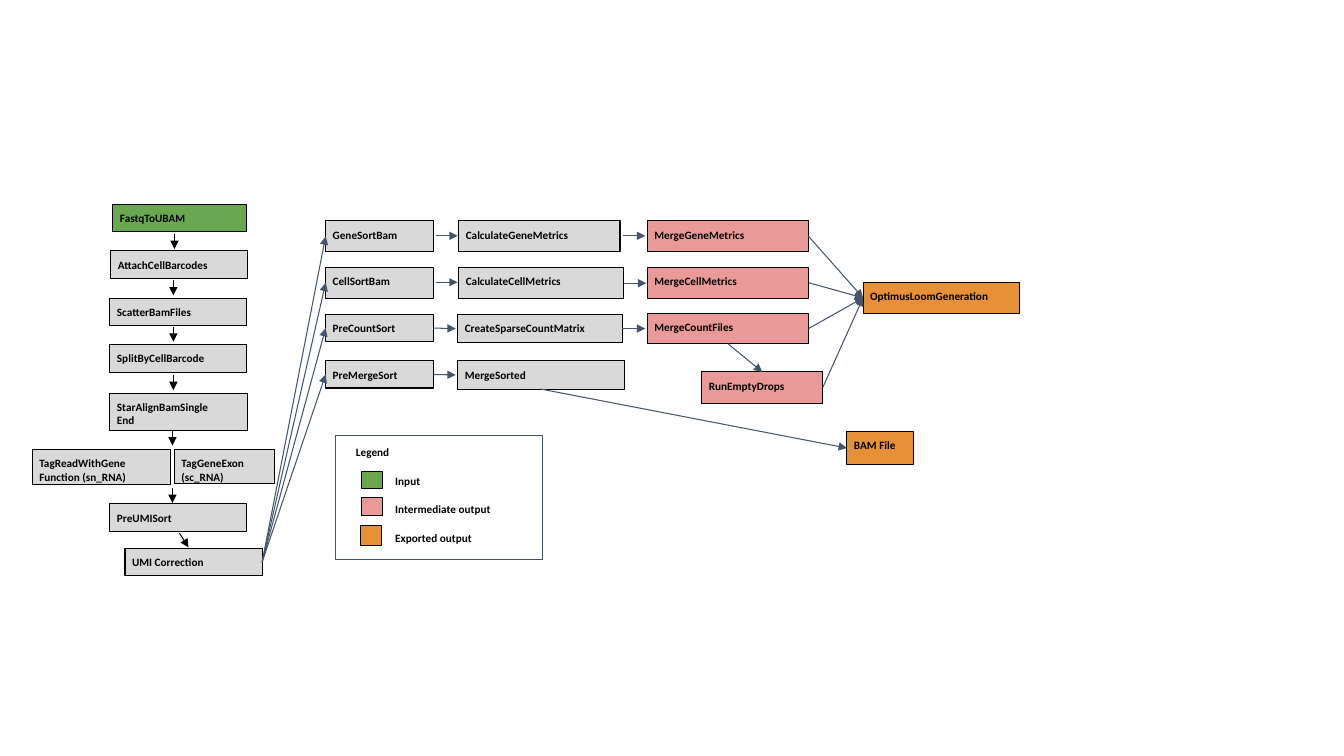
from lxml.etree import SubElement
from pptx import Presentation
from pptx.dml.color import RGBColor
from pptx.enum.shapes import MSO_CONNECTOR, MSO_SHAPE
from pptx.enum.text import MSO_ANCHOR, PP_ALIGN
from pptx.oxml.ns import qn
from pptx.util import Emu, Pt

PX = 9144
SLIDE = (1333, 750)
TOP, LEFT, BOTTOM, RIGHT = range(4)
GREY, GREEN, PINK, ORANGE = "D9D9D9", "6AA84F", "EA9999", "E69138"
BLACK, SLATE = "000000", "44546A"

STEPS = [
    ("FastqToUBAM", GREEN, (112, 203, 133, 27)),
    ("AttachCellBarcodes", GREY, (110, 249, 136, 27)),
    ("ScatterBamFiles", GREY, (109, 296, 136, 27)),
    ("SplitByCellBarcode", GREY, (109, 342, 136, 28)),
    ("StarAlignBamSingle\nEnd", GREY, (109, 390, 137, 37)),
    ("TagReadWithGene\nFunction (sn_RNA)", GREY, (32, 446, 137, 35)),
    ("TagGeneExon\n(sc_RNA)", GREY, (173, 446, 99, 34)),
    ("PreUMISort", GREY, (109, 500, 136, 27)),
    ("UMI Correction", GREY, (124, 544, 136, 27)),
    ("GeneSortBam", GREY, (323, 219, 107, 31)),
    ("CellSortBam", GREY, (323, 265, 107, 31)),
    ("PreCountSort", GREY, (323, 312, 107, 27)),
    ("PreMergeSort", GREY, (323, 358, 107, 27)),
    ("CalculateGeneMetrics", GREY, (455, 219, 160, 31)),
    ("CalculateCellMetrics", GREY, (455, 265, 163, 31)),
    ("CreateSparseCountMatrix", GREY, (454, 312, 163, 28)),
    ("MergeSorted", GREY, (454, 358, 165, 28)),
    ("MergeGeneMetrics", PINK, (642, 219, 160, 31)),
    ("MergeCellMetrics", PINK, (642, 265, 160, 31)),
    ("MergeCountFiles", PINK, (642, 311, 160, 30)),
    ("RunEmptyDrops", PINK, (696, 369, 120, 31)),
    ("OptimusLoomGeneration", ORANGE, (856, 280, 155, 31)),
    ("BAM File", ORANGE, (840, 428, 66, 33)),
]
SORTS = ["GeneSortBam", "CellSortBam", "PreCountSort", "PreMergeSort"]
LOOM_INPUTS = ["MergeGeneMetrics", "MergeCellMetrics", "MergeCountFiles", "RunEmptyDrops"]

LEGEND_FRAME = (333, 432, 205, 123)
LEGEND_TITLE = ("Legend", (346, 435, 68, 25))
LEGEND = [
    ("Input", GREEN, (359, 468, 20, 17), (385, 464, 79, 20)),
    ("Intermediate output", PINK, (359, 494, 20, 17), (385, 492, 139, 27)),
    ("Exported output", ORANGE, (358, 521, 20, 20), (385, 520, 139, 23)),
]

DOWN_STARTS = [(173, 232), (172, 278), (172, 324), (172, 372), (171, 427), (171, 484)]
DOWN_LENGTH = 15
ACROSS_STARTS = [(432, 234), (432, 280), (618, 234), (619, 281)]
ACROSS_LENGTH = 22

BLACK_ARROWS = [((x, y), (x, y + DOWN_LENGTH)) for x, y in DOWN_STARTS]
BLACK_ARROWS += [((178, 529), (187, 543))]
SLATE_ARROWS = [((x, y), (x + ACROSS_LENGTH, y)) for x, y in ACROSS_STARTS]
SLATE_ARROWS += [
    (("PreCountSort", RIGHT), (452, 326)),
    (("PreMergeSort", RIGHT), (452, 372)),
    (("CreateSparseCountMatrix", RIGHT), (640, 326)),
    (("MergeCountFiles", BOTTOM), ("RunEmptyDrops", TOP)),
    (("MergeSorted", BOTTOM), ("BAM File", LEFT)),
]
SLATE_ARROWS += [(("UMI Correction", RIGHT), (sort, LEFT)) for sort in SORTS]
SLATE_ARROWS += [((merge, RIGHT), ("OptimusLoomGeneration", LEFT)) for merge in LOOM_INPUTS]

INSET = Emu(7 * PX)
FRAME_FORMAT = {
    "word_wrap": True, "vertical_anchor": MSO_ANCHOR.TOP,
    "margin_left": INSET, "margin_top": INSET,
    "margin_right": INSET, "margin_bottom": INSET,
}
FONT_FORMAT = {"name": "Calibri", "size": Pt(8), "bold": True}


def rgb(color):
    """Turn a hex string into a colour."""
    return RGBColor.from_string(color)


def to_emu(lengths):
    """Scale px lengths to EMU."""
    return [Emu(length * PX) for length in lengths]


def apply(target, formats):
    """Set each format value on the target."""
    for attribute, value in formats.items():
        setattr(target, attribute, value)


def write(shape, text):
    """Fill a shape with left-aligned bold lines."""
    frame = shape.text_frame
    apply(frame, FRAME_FORMAT)
    frame.text = text
    for line in frame.paragraphs:
        line.alignment = PP_ALIGN.LEFT
        apply(line.font, FONT_FORMAT)
        line.font.color.rgb = rgb(BLACK)


def add_box(slide, place, fill=None, outline=BLACK):
    """Add a thinly outlined rectangle, hollow when no fill is given."""
    box = slide.shapes.add_shape(MSO_SHAPE.RECTANGLE, *to_emu(place))
    box.shadow.inherit = False
    if fill:
        box.fill.solid()
        box.fill.fore_color.rgb = rgb(fill)
    else:
        box.fill.background()
    box.line.color.rgb = rgb(outline)
    box.line.width = Pt(0.75)
    return box


def add_label(slide, text, place):
    """Add a text box for the legend."""
    write(slide.shapes.add_textbox(*to_emu(place)), text)


def add_arrow(slide, steps, start, end, color):
    """Add an arrow between points or sides of named steps."""
    points = [(0, 0) if point[0] in steps else point for point in (start, end)]
    arrow = slide.shapes.add_connector(MSO_CONNECTOR.STRAIGHT, *to_emu(points[0] + points[1]))
    for point, join in ((start, arrow.begin_connect), (end, arrow.end_connect)):
        if point[0] in steps:
            join(steps[point[0]], point[1])
    arrow.line.color.rgb = rgb(color)
    arrow.line.width = Pt(0.75)
    SubElement(arrow.line._get_or_add_ln(), qn("a:tailEnd"), type="triangle")
    SubElement(arrow._element.spPr, qn("a:effectLst"))


def main():
    """Build the pipeline slide and save it."""
    deck = Presentation()
    deck.slide_width, deck.slide_height = to_emu(SLIDE)
    slide = deck.slides.add_slide(deck.slide_layouts[6])

    steps = {}
    for name, fill, place in STEPS:
        steps[name] = add_box(slide, place, fill)
        write(steps[name], name)

    add_box(slide, LEGEND_FRAME, outline=SLATE)
    add_label(slide, *LEGEND_TITLE)
    for meaning, fill, swatch_place, label_place in LEGEND:
        add_box(slide, swatch_place, fill)
        add_label(slide, meaning, label_place)

    for color, arrows in ((SLATE, SLATE_ARROWS), (BLACK, BLACK_ARROWS)):
        for start, end in arrows:
            add_arrow(slide, steps, start, end, color)

    deck.save("out.pptx")


if __name__ == "__main__":
    main()
